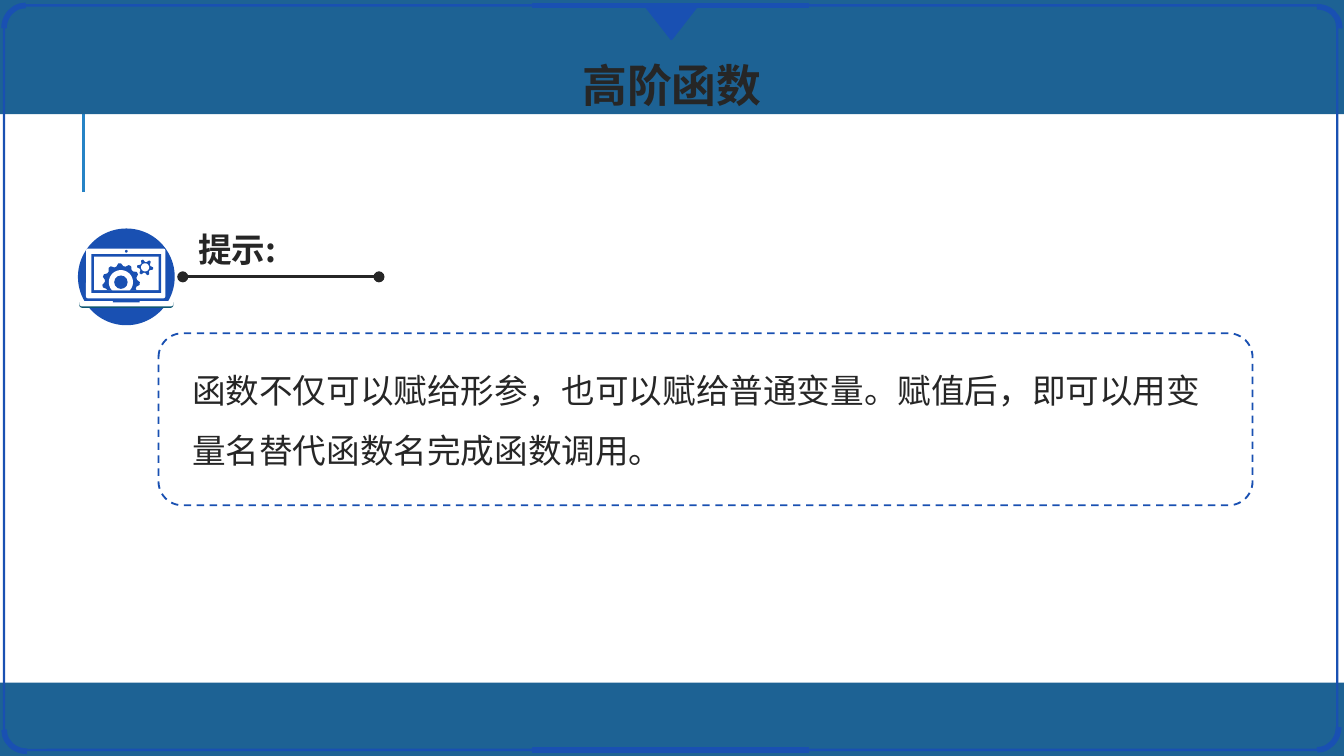
import math
from lxml import etree
from pptx import Presentation
from pptx.dml.color import RGBColor
from pptx.enum import dml, shapes, text
from pptx.oxml.ns import qn
from pptx.util import Inches, Pt

COLORS = {"band": "1D6294", "blue": "1950B2", "rule": "2683C6",
          "ink": "262626", "teal": "0E5772", "white": "FFFFFF"}
FONT = "Noto Sans CJK SC"
W = 10
H = W * 9 / 16
BANDS = [(0, 5.08, W, H - 5.08), (0, -0.03, W, 0.88)]
CORNERS = [(0.02, 0.05, 270), (0.03, 5.27, 180), (9.63, 0.05, 0), (9.63, 5.25, 90)]
TEXTS = [
    ("高阶函数", (4.25, 0.39, 1.5, 0.48), 24, FONT, True),
    ("提示:", (1.4, 1.66, 0.73, 0.38), 18, FONT, True),
    ("函数不仅可以赋给形参，也可以赋给普通变量。赋值后，即可以用变量名替代函数名完成函数调用。",
     (1.36, 2.56, 7.87, 0.98), 18, "Montserrat", False),
]
SHAPE = shapes.MSO_SHAPE
PANEL = (0.7, 1.91, 0.48, 0.25)
PANEL_BOTTOM = PANEL[1] + PANEL[3]
UNITS = 1000
GEARS = [
    {"center": (0.9, 2.1), "teeth": 11, "outer": 0.14, "inner": 0.12, "hub": 0.09, "core": 0.05},
    {"center": (1.08, 1.99), "teeth": 6, "outer": 0.06, "inner": 0.04, "hub": 0.03, "core": 0},
]


def rgb(name):
    return RGBColor.from_string(COLORS[name])


def paint(sp, fill=None, line=None, width=1.25):
    sp.shadow.inherit = False
    if fill:
        sp.fill.solid()
        sp.fill.fore_color.rgb = rgb(fill)
    else:
        sp.fill.background()
    if line:
        sp.line.color.rgb = rgb(line)
        sp.line.width = Pt(width)
    else:
        sp.line.fill.background()
    return sp


def add_shape(s, kind, box, fill=None, line=None, width=1.25, rotation=0, adj=None):
    sp = s.shapes.add_shape(kind, *map(Inches, box))
    sp.rotation = rotation
    if adj is not None:
        sp.adjustments[0] = adj
    return paint(sp, fill, line, width)


def add_line(s, start, end, color, width, dots=False):
    c = s.shapes.add_connector(shapes.MSO_CONNECTOR.STRAIGHT, *map(Inches, start + end))
    c.line.color.rgb = rgb(color)
    c.line.width = Pt(width)
    if dots:
        ln = c.line._get_or_add_ln()
        for tag in ("a:headEnd", "a:tailEnd"):
            etree.SubElement(ln, qn(tag), type="oval")
    etree.SubElement(c._element.spPr, qn("a:effectLst"))


def add_text(s, words, box, size, font, heading):
    tf = s.shapes.add_textbox(*map(Inches, box)).text_frame
    tf.margin_left = tf.margin_right = Inches(0.07)
    tf.margin_top = tf.margin_bottom = Inches(0.04)
    tf.word_wrap = not heading
    tf.auto_size = text.MSO_AUTO_SIZE.SHAPE_TO_FIT_TEXT
    p = tf.paragraphs[0]
    p.text = words
    if heading:
        p.alignment = text.PP_ALIGN.CENTER
    else:
        p.line_spacing = 1.5
    f = p.font
    f.name, f.size, f.bold = font, Pt(size), heading
    f.color.rgb = rgb("ink")
    etree.SubElement(f._element, qn("a:ea"), typeface=font)


def add_polygon(s, points, fill):
    grid = [(round(x * UNITS), round(y * UNITS)) for x, y in points]
    fb = s.shapes.build_freeform(*grid[0], scale=Inches(1) / UNITS)
    fb.add_line_segments(grid[1:], close=True)
    paint(fb.convert_to_shape(), fill)


def ring_points(center, radii):
    cx, cy = center
    step = 2 * math.pi / len(radii)
    return [(cx + r * math.cos(i * step), min(cy + r * math.sin(i * step), PANEL_BOTTOM))
            for i, r in enumerate(radii)]


def add_gear(s, center, teeth, outer, inner, hub, core):
    add_polygon(s, ring_points(center, [outer, outer, inner, inner] * teeth), "blue")
    add_polygon(s, ring_points(center, [hub] * 48), "white")
    if core:
        x, y = center
        add_shape(s, SHAPE.OVAL, (x - core, y - core, 2 * core, 2 * core), "blue")


def add_frame(s):
    add_line(s, (0.62, 1.43), (0.62, 0.68), "rule", 1.5)
    for box in BANDS:
        add_shape(s, SHAPE.RECTANGLE, box, "band")
    add_shape(s, SHAPE.ROUNDED_RECTANGLE, (0.03, 0.04, 9.92, 5.54), line="blue", adj=0.029)
    for x, y, rotation in CORNERS:
        add_shape(s, SHAPE.ARC, (x, y, 0.34, 0.32), line="blue", width=3, rotation=rotation)
    for y in (0.04, 5.58):
        add_line(s, (3.96, y), (6.02, y), "blue", 3)
    add_shape(s, SHAPE.ISOSCELES_TRIANGLE, (4.8, 0.04, 0.39, 0.25), "blue", "blue", rotation=180)


def add_laptop(s):
    add_shape(s, SHAPE.OVAL, (0.58, 1.7, 0.72, 0.72), "blue")
    for y, color in ((2.25, "teal"), (2.24, "white")):
        add_shape(s, SHAPE.ROUND_2_SAME_RECTANGLE, (0.59, y, 0.7, 0.04), color,
                  rotation=180, adj=0.5)
    add_shape(s, SHAPE.RECTANGLE, (0.84, 2.24, 0.2, 0.01), "blue")
    add_shape(s, SHAPE.ROUNDED_RECTANGLE, (0.64, 1.85, 0.59, 0.37), "white", adj=0.04)
    add_shape(s, SHAPE.OVAL, (0.93, 1.86, 0.02, 0.02), "blue")
    add_shape(s, SHAPE.RECTANGLE, (0.68, 1.89, 0.52, 0.29), "blue")
    add_shape(s, SHAPE.RECTANGLE, PANEL, "white")
    for gear in GEARS:
        add_gear(s, **gear)


def main():
    prs = Presentation()
    prs.slide_width, prs.slide_height = Inches(W), Inches(H)
    s = prs.slides.add_slide(prs.slide_layouts[6])
    add_frame(s)
    for item in TEXTS:
        add_text(s, *item)
    add_line(s, (1.36, 2.06), (2.82, 2.06), "ink", 1.5, dots=True)
    tip = add_shape(s, SHAPE.ROUNDED_RECTANGLE, (1.18, 2.48, 8.14, 1.28),
                    line="blue", width=1, adj=0.139)
    tip.line.dash_style = dml.MSO_LINE.DASH
    add_laptop(s)
    prs.save("out.pptx")


if __name__ == "__main__":
    main()
